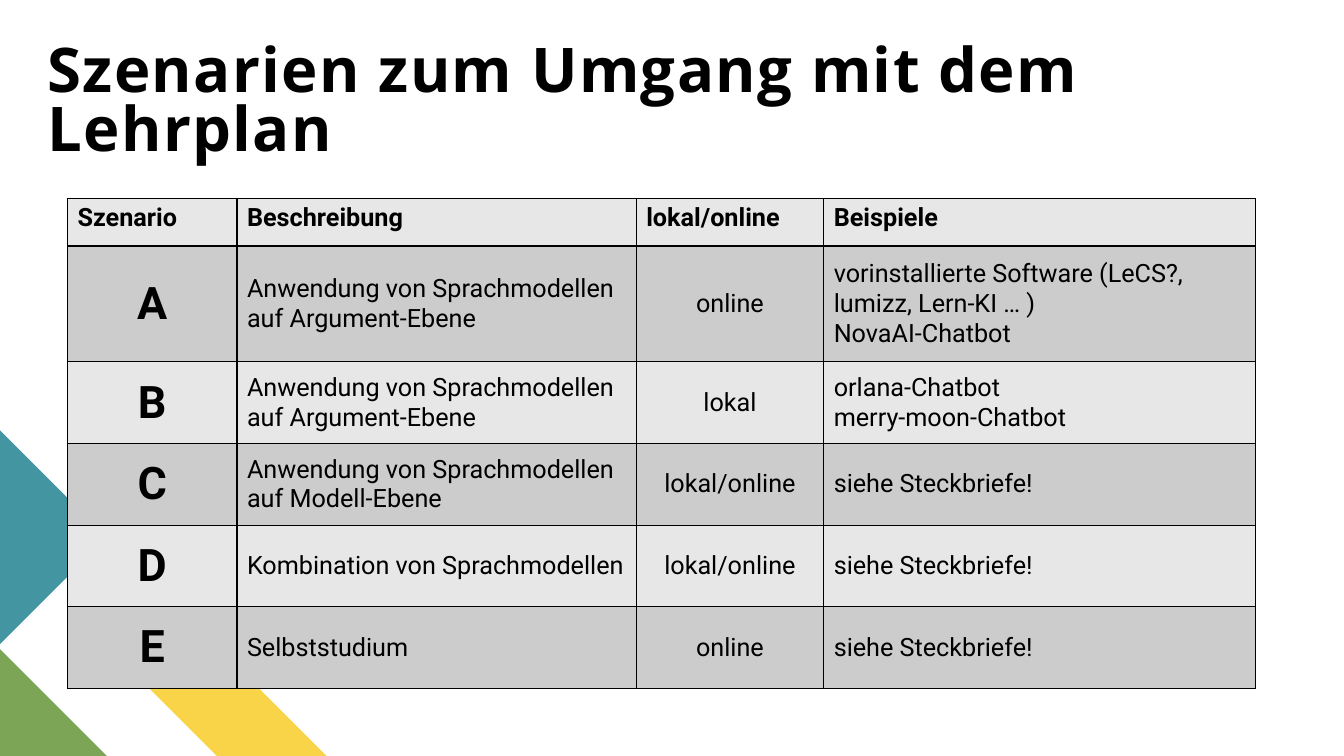
from dataclasses import dataclass

from lxml import etree
from pptx import Presentation
from pptx import util as u
from pptx.dml.color import RGBColor
from pptx.enum import text
from pptx.oxml import ns


@dataclass(frozen=True)
class Theme:
    ink: str = "000000"
    light: str = "E7E7E7"
    dark: str = "CCCCCC"
    yellow: str = "F9D448"
    green: str = "7CA655"
    teal: str = "4495A2"
    title_font: str = "Open Sans"
    body_font: str = "Roboto"
    title_size: int = 44
    letter_size: int = 32
    body_size: int = 18
    border_width: int = 1


@dataclass(frozen=True)
class Box:
    left: float
    top: float
    width: float
    height: float

    def lengths(self):
        return [u.Inches(value) for value in (self.left, self.top, self.width, self.height)]


THEME = Theme()
TITLE = "Szenarien zum Umgang mit dem Lehrplan"
COLUMN_WIDTHS = [1.68, 3.96, 1.86, 4.28]
ROW_HEIGHTS = [0.47, 1.15] + [0.81] * 4
LETTER_COLUMN, MODE_COLUMN = 0, 2
ROWS = [
    ["Szenario", "Beschreibung", "lokal/online", "Beispiele"],
    ["A", "Anwendung von Sprachmodellen auf Argument-Ebene", "online",
     "vorinstallierte Software (LeCS?, lumizz, Lern-KI … )\nNovaAI-Chatbot"],
    ["B", "Anwendung von Sprachmodellen auf Argument-Ebene", "lokal",
     "orlana-Chatbot\nmerry-moon-Chatbot"],
    ["C", "Anwendung von Sprachmodellen auf Modell-Ebene", "lokal/online", "siehe Steckbriefe!"],
    ["D", "Kombination von Sprachmodellen", "lokal/online", "siehe Steckbriefe!"],
    ["E", "Selbststudium", "online", "siehe Steckbriefe!"],
]
CORNER_SHAPES = [
    (THEME.yellow, [(3.24, 3.23), (2.15, 3.23), (1.06, 2.14), (1.61, 1.6)]),
    (THEME.green, [(1.06, 3.23), (0, 3.23), (0, 2.17)]),
    (THEME.teal, [(0, 0), (1.06, 1.06), (0, 2.12)]),
]


def apply_format(target, values):
    for name, value in values.items():
        setattr(target, name, value)


def paint(target, color):
    target.fill.solid()
    target.fill.fore_color.rgb = RGBColor.from_string(color)


def format_font(font, name, size, bold):
    apply_format(font, {"name": name, "size": u.Pt(size), "bold": bold})
    font.color.rgb = RGBColor.from_string(THEME.ink)


def add_borders(cell):
    properties = cell._tc.get_or_add_tcPr()
    for position, side in enumerate(("lnL", "lnR", "lnT", "lnB")):
        line = etree.Element(ns.qn(f"a:{side}"), w=str(u.Pt(THEME.border_width)))
        fill = etree.SubElement(line, ns.qn("a:solidFill"))
        etree.SubElement(fill, ns.qn("a:srgbClr"), val=THEME.ink)
        properties.insert(position, line)


def add_corner(slide, box):
    for color, points in CORNER_SHAPES:
        start, *others = [(u.Inches(box.left + x), u.Inches(box.top + y)) for x, y in points]
        builder = slide.shapes.build_freeform(*start)
        builder.add_line_segments(others, close=True)
        shape = builder.convert_to_shape()
        paint(shape, color)
        shape.line.fill.background()
        shape.shadow.inherit = False


def add_title(slide, box):
    frame = slide.shapes.add_textbox(*box.lengths()).text_frame
    apply_format(frame, {
        "word_wrap": True, "vertical_anchor": text.MSO_ANCHOR.BOTTOM,
        "margin_left": 0, "margin_right": 0, "margin_top": 0, "margin_bottom": 0,
    })
    paragraph = frame.paragraphs[0]
    paragraph.line_spacing = 0.8
    run = paragraph.add_run()
    run.text = TITLE
    format_font(run.font, THEME.title_font, THEME.title_size, True)
    run.font._element.set("spc", "100")


def fill_cell(cell, row, column, content):
    header = row == 0
    letter = not header and column == LETTER_COLUMN
    centered = letter or (not header and column == MODE_COLUMN)
    cell.text = content
    cell.vertical_anchor = text.MSO_ANCHOR.TOP if header else text.MSO_ANCHOR.MIDDLE
    paint(cell, THEME.dark if row % 2 else THEME.light)
    add_borders(cell)
    for paragraph in cell.text_frame.paragraphs:
        paragraph.alignment = text.PP_ALIGN.CENTER if centered else text.PP_ALIGN.LEFT
        for run in paragraph.runs:
            size = THEME.letter_size if letter else THEME.body_size
            format_font(run.font, THEME.body_font, size, header or letter)


def add_scenarios(slide, box):
    table = slide.shapes.add_table(len(ROWS), len(COLUMN_WIDTHS), *box.lengths()).table
    for column, width in zip(table.columns, COLUMN_WIDTHS):
        column.width = u.Inches(width)
    for row, height in zip(table.rows, ROW_HEIGHTS):
        row.height = u.Inches(height)
    for row, contents in enumerate(ROWS):
        for column, content in enumerate(contents):
            fill_cell(table.cell(row, column), row, column, content)


def main():
    presentation = Presentation()
    apply_format(presentation, {"slide_width": u.Inches(13.33), "slide_height": u.Inches(7.5)})
    slide = presentation.slides.add_slide(presentation.slide_layouts[6])
    add_corner(slide, Box(0, 4.27, 3.24, 3.23))
    add_title(slide, Box(0.47, 0.25, 11.89, 1.37))
    add_scenarios(slide, Box(0.67, 1.97, sum(COLUMN_WIDTHS), sum(ROW_HEIGHTS)))
    presentation.save("out.pptx")


if __name__ == "__main__":
    main()
